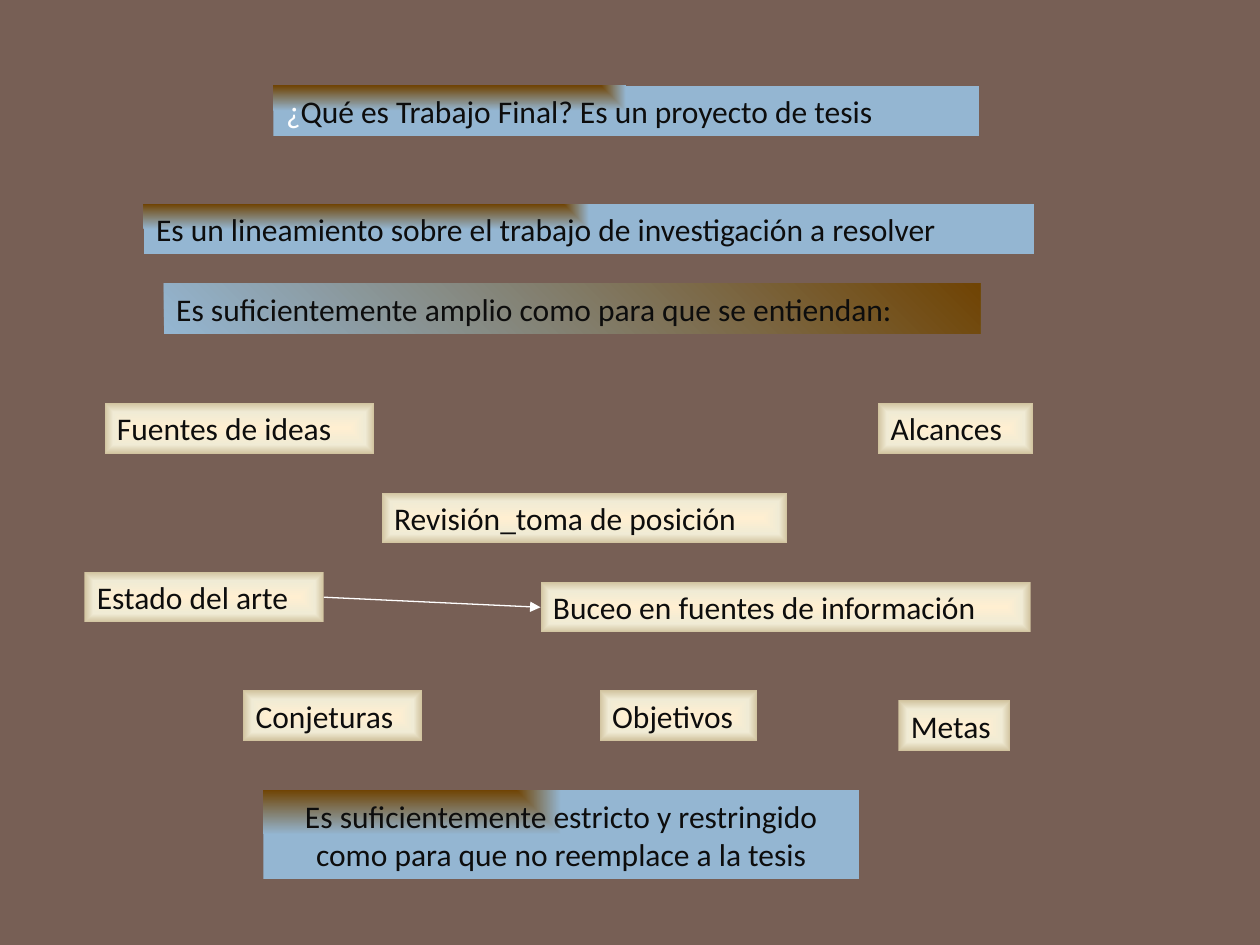
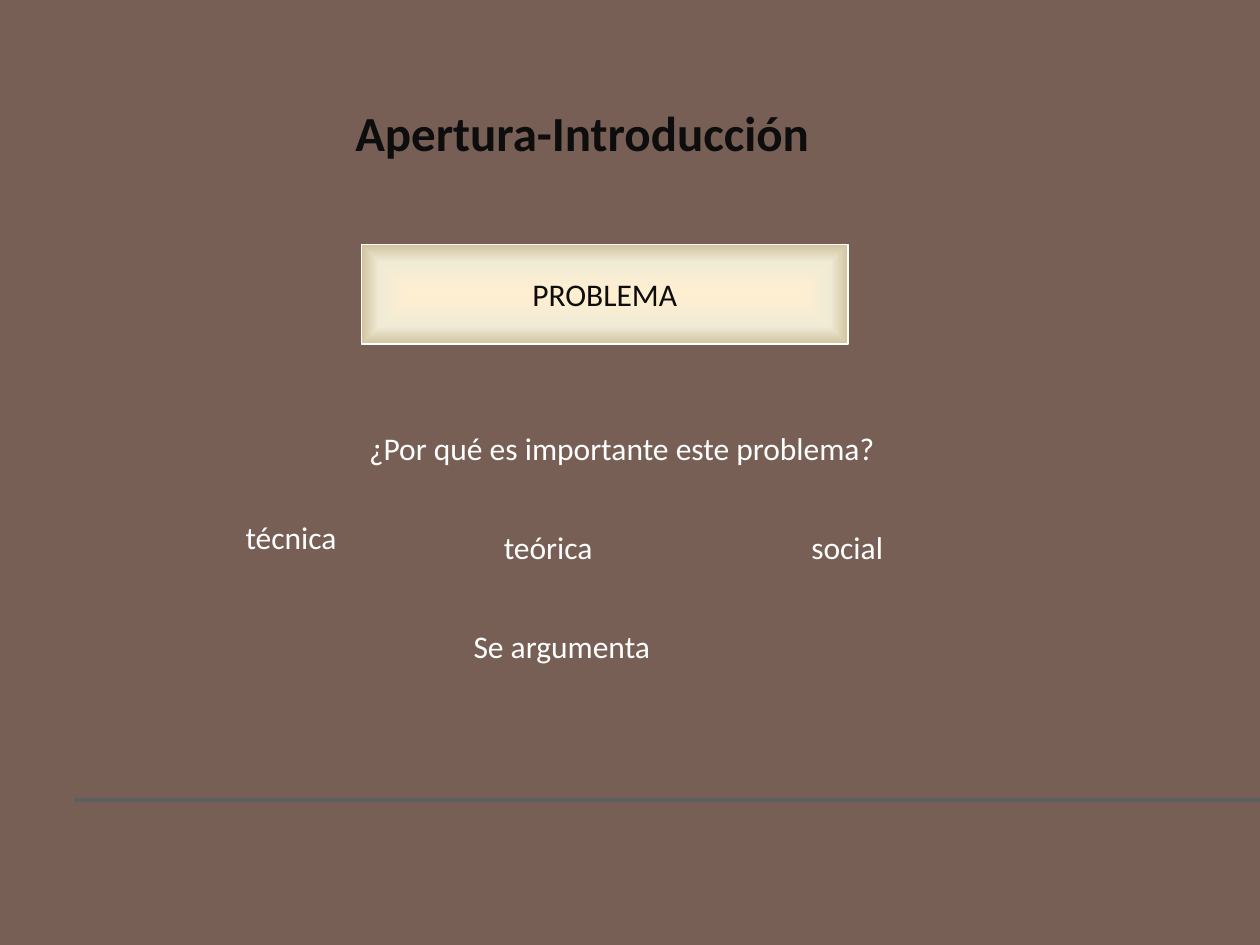
"""Builds two slides on the final project and the opening of a thesis."""
from dataclasses import dataclass

from lxml import etree
from pptx import Presentation
from pptx import util as u
from pptx.dml.color import RGBColor
from pptx.enum import shapes, text
from pptx.oxml import parse_xml
from pptx.oxml.ns import nsdecls, qn


@dataclass(frozen=True)
class Theme:
    font: str = "Calibri"
    body: int = 18
    heading: int = 28
    ground: str = "775F55"
    ink: str = "0D0D0D"
    white: str = "FFFFFF"
    rule: str = "5F5F5F"
    thin: float = 0.75
    thick: float = 2.25


THEME = Theme()
LEFT, CENTER = text.PP_ALIGN.LEFT, text.PP_ALIGN.CENTER
ROW = 0.4

CORNER = '<a:path path="rect"><a:fillToRect r="100000" b="100000"/></a:path>'
MIDDLE = ('<a:path path="shape"><a:fillToRect l="50000" t="50000" '
          'r="50000" b="50000"/></a:path>')
DIAGONAL = '<a:lin ang="18900000" scaled="1"/>'
BLUE = ([(0, "704404"), (100, "94B6D2")], CORNER)
FADE = ([(0, "94B6D2"), (100, "704404")], DIAGONAL)
CREAM = ([(0, "FFEFD1"), (65, "F0EBD5"), (100, "D1C39F")], MIDDLE)

QUESTION = [("¿", THEME.white), ("Qué es Trabajo Final? Es un proyecto de tesis", THEME.ink)]
QUESTION_AT = (2.17, 0.68, 5.6, ROW)
STATEMENTS = [
    (["Es un lineamiento sobre el trabajo de investigación a resolver"],
     (1.14, 1.62, 7.07, ROW), BLUE, LEFT),
    (["Es suficientemente amplio como para que se entiendan:"],
     (1.3, 2.25, 6.48, ROW), FADE, LEFT),
    (["Es suficientemente estricto y restringido", "como para que no reemplace a la tesis"],
     (2.09, 6.27, 4.73, 0.71), BLUE, CENTER),
]
SOURCE, TARGET = "Estado del arte", "Buceo en fuentes de información"
TOPICS = [
    (SOURCE, 0.67, 4.54, 1.9),
    ("Alcances", 6.97, 3.2, 1.23),
    ("Fuentes de ideas", 0.83, 3.2, 2.14),
    (TARGET, 4.29, 4.62, 3.89),
    ("Conjeturas", 1.93, 5.48, 1.42),
    ("Objetivos", 4.76, 5.48, 1.25),
    ("Revisión_toma de posición", 3.03, 3.91, 3.22),
    ("Metas", 7.13, 5.56, 0.89),
]

OPENING, OPENING_AT = "Apertura-Introducción", (2.72, 0.76, 4.35, 0.57)
PROBLEM, PROBLEM_AT = "PROBLEMA", (2.87, 1.94, 3.86, 0.79)
REASONS = [
    ("¿Por qué es importante este problema?", (2.61, 3.36, 4.65, ROW), CENTER),
    ("técnica", (1.85, 4.06, 1.35, 0.5), LEFT),
    ("teórica", (3.9, 4.14, 1.3, 0.5), LEFT),
    ("social", (6.34, 4.14, 1.15, 0.5), LEFT),
    ("Se argumenta", (3.66, 4.93, 2.41, 0.5), LEFT),
]


def color(value):
    return RGBColor.from_string(value)


def inches(values):
    return [u.Inches(value) for value in values]


def paint(shape, gradient):
    stops, direction = gradient
    marks = "".join(f'<a:gs pos="{pos * 1000}"><a:srgbClr val="{tone}"/></a:gs>'
                    for pos, tone in stops)
    shape.fill.background()
    blank = shape._element.spPr.find(qn("a:noFill"))
    blank.getparent().replace(blank, parse_xml(
        f'<a:gradFill {nsdecls("a")} rotWithShape="1"><a:gsLst>{marks}</a:gsLst>'
        f'{direction}</a:gradFill>'))


def write(shape, lines, tone, align=LEFT, size=THEME.body, bold=False):
    frame = shape.text_frame
    frame.word_wrap = True
    frame.auto_size = text.MSO_AUTO_SIZE.NONE
    frame.text = "\n".join(lines)
    for para in frame.paragraphs:
        para.alignment = align
        para.font.name = THEME.font
        para.font.size = u.Pt(size)
        para.font.bold = bold
        para.font.color.rgb = color(tone)


def add_box(page, lines, at, gradient, align=LEFT):
    box = page.shapes.add_shape(shapes.MSO_SHAPE.RECTANGLE, *inches(at))
    box.shadow.inherit = False
    box.line.fill.background()
    paint(box, gradient)
    write(box, lines, THEME.ink, align)
    return box


def add_line(page, ends, tone, width):
    line = page.shapes.add_connector(shapes.MSO_CONNECTOR.STRAIGHT, *inches(ends))
    line.line.color.rgb = color(tone)
    line.line.width = u.Pt(width)
    etree.SubElement(line._element.spPr, qn("a:effectLst"))
    return line


def add_page(deck, title_at):
    page = deck.slides.add_slide(deck.slide_layouts[5])
    title = page.shapes.title
    title.left, title.top, title.width, title.height = inches(title_at)
    return page, title


def build_project(deck):
    page, title = add_page(deck, QUESTION_AT)
    paint(title, BLUE)
    write(title, [""], THEME.ink)
    for words, tone in QUESTION:
        span = title.text_frame.paragraphs[0].add_run()
        span.text = words
        span.font.color.rgb = color(tone)
    for lines, at, gradient, align in STATEMENTS:
        add_box(page, lines, at, gradient, align)
    boxes = {label: add_box(page, [label], (left, top, width, ROW), CREAM)
             for label, left, top, width in TOPICS}
    arrow = add_line(page, (0, 0, 0, 0), THEME.white, THEME.thin)
    arrow.begin_connect(boxes[SOURCE], 3)
    arrow.end_connect(boxes[TARGET], 1)
    etree.SubElement(arrow.line._get_or_add_ln(), qn("a:tailEnd"), type="triangle")


def build_opening(deck):
    page, title = add_page(deck, OPENING_AT)
    write(title, [OPENING], THEME.ink, size=THEME.heading, bold=True)
    add_line(page, (0.59, 6.35, 10, 6.35), THEME.rule, THEME.thick)
    problem = add_box(page, [PROBLEM], PROBLEM_AT, CREAM, CENTER)
    problem.line.color.rgb = color(THEME.white)
    problem.line.width = u.Pt(THEME.thin)
    for label, at, align in REASONS:
        write(page.shapes.add_textbox(*inches(at)), [label], THEME.white, align)


def main():
    deck = Presentation()
    deck.slide_width, deck.slide_height = inches((10, 7.5))
    ground = deck.slide_master.background.fill
    ground.solid()
    ground.fore_color.rgb = color(THEME.ground)
    build_project(deck)
    build_opening(deck)
    deck.save("out.pptx")


if __name__ == "__main__":
    main()
